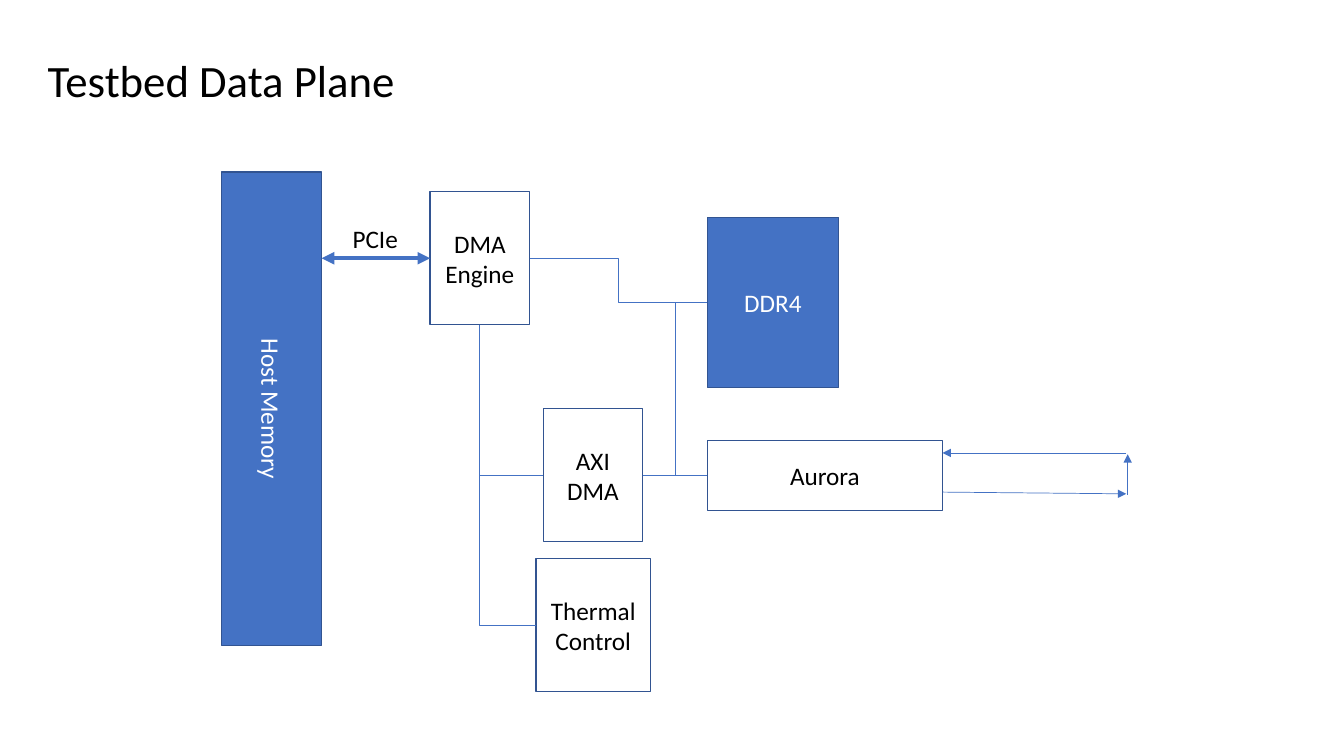
from dataclasses import dataclass
from typing import Any, NamedTuple, Optional

from lxml.etree import SubElement
from pptx import Presentation
from pptx.dml.color import RGBColor
from pptx.enum.shapes import MSO_CONNECTOR as Route, MSO_SHAPE as Preset
from pptx.enum.text import MSO_ANCHOR as Anchor, MSO_AUTO_SIZE as AutoSize, PP_ALIGN as Align
from pptx.oxml.ns import qn
from pptx.util import Pt


@dataclass(frozen=True)
class Theme:
    font: str = "Calibri"
    title_size: float = 32
    label_size: float = 18
    blue: RGBColor = RGBColor(0x44, 0x72, 0xC4)
    outline: RGBColor = RGBColor(0x32, 0x54, 0x91)
    black: RGBColor = RGBColor(0, 0, 0)
    white: RGBColor = RGBColor(0xFF, 0xFF, 0xFF)
    outline_width: float = 1
    bus_width: float = 3
    wire_width: float = 0.5


class Box(NamedTuple):
    left: float
    top: float
    width: float
    height: float


@dataclass(frozen=True)
class Block:
    label: str
    box: Box
    filled: bool = False
    vertical: bool = False


class Link(NamedTuple):
    source: str
    target: str
    from_bottom: bool = False


class Arrow(NamedTuple):
    x1: float
    y1: float
    x2: float
    y2: float
    width: float
    both_ends: bool = False


THEME = Theme()
BOTTOM_SITE, LEFT_SITE, RIGHT_SITE = 2, 1, 3

BLOCKS = [
    Block("Host Memory", Box(158.25, 123, 71.5, 338), filled=True, vertical=True),
    Block("DMA Engine", Box(307.25, 137, 71, 95), ),
    Block("AXI DMA", Box(388, 292, 71, 95)),
    Block("DDR4", Box(505.25, 155.25, 93.75, 121.5), filled=True),
    Block("Thermal Control", Box(383, 399, 81.5, 95)),
    Block("Aurora", Box(505.25, 314.5, 168, 50)),
]
LINKS = [
    Link("DMA Engine", "DDR4"),
    Link("AXI DMA", "DDR4"),
    Link("DMA Engine", "AXI DMA", from_bottom=True),
    Link("DMA Engine", "Thermal Control", from_bottom=True),
    Link("AXI DMA", "Aurora"),
]
ARROWS = [
    Arrow(229.75, 184.5, 307.25, 184.5, THEME.bus_width, both_ends=True),
    Arrow(673.25, 351.5, 804.5, 352.75, THEME.wire_width),
    Arrow(805.5, 353.5, 805.5, 324.5, THEME.wire_width),
    Arrow(804.5, 323.5, 673.25, 323.5, THEME.wire_width),
]


def apply_format(target: Any, formats: dict[str, Any]) -> None:
    for attribute, value in formats.items():
        setattr(target, attribute, value)


def write_text(frame: Any, text: str, size: float, color: RGBColor, align: Align,
               wrap: bool = True, auto_size: Optional[AutoSize] = None) -> None:
    apply_format(frame, {"text": text, "word_wrap": wrap, "auto_size": auto_size,
                         "vertical_anchor": Anchor.MIDDLE})
    paragraph = frame.paragraphs[0]
    paragraph.alignment = align
    font = paragraph.runs[0].font
    apply_format(font, {"name": THEME.font, "size": Pt(size)})
    font.color.rgb = color


def place(shape: Any, box: Box) -> None:
    apply_format(shape, {side: Pt(length) for side, length in box._asdict().items()})


def draw_block(slide: Any, block: Block) -> Any:
    shape = slide.shapes.add_shape(Preset.RECTANGLE, *map(Pt, block.box))
    shape.shadow.inherit = False
    if block.filled:
        shape.fill.solid()
        shape.fill.fore_color.rgb = THEME.blue
    else:
        shape.fill.background()
    shape.line.color.rgb = THEME.outline
    shape.line.width = Pt(THEME.outline_width)
    write_text(shape.text_frame, block.label, THEME.label_size,
               THEME.white if block.filled else THEME.black, Align.CENTER)
    if block.vertical:
        shape.text_frame._txBody.bodyPr.set("vert", "vert")
    return shape


def style_line(connector: Any, width: float) -> None:
    connector.line.color.rgb = THEME.blue
    connector.line.width = Pt(width)
    SubElement(connector._element.spPr, qn("a:effectLst"))


def turn_corner(connector: Any) -> None:
    left, top, width, height = (connector.left, connector.top,
                                connector.width, connector.height)
    apply_format(connector, {"left": left + (width - height) // 2,
                             "top": top + (height - width) // 2,
                             "width": height, "height": width})
    properties = connector._element.spPr
    frame = properties.find(qn("a:xfrm"))
    frame.set("rot", str(270 * 60000))
    frame.set("flipH", "1")
    properties.find(qn("a:prstGeom")).set("prst", "bentConnector2")


def draw_link(slide: Any, link: Link, shapes: dict[str, Any]) -> None:
    connector = slide.shapes.add_connector(Route.ELBOW, 0, 0, 0, 0)
    connector.begin_connect(shapes[link.source],
                            BOTTOM_SITE if link.from_bottom else RIGHT_SITE)
    connector.end_connect(shapes[link.target], LEFT_SITE)
    if link.from_bottom:
        turn_corner(connector)
    style_line(connector, THEME.wire_width)


def draw_arrow(slide: Any, arrow: Arrow) -> None:
    connector = slide.shapes.add_connector(Route.STRAIGHT, *map(Pt, arrow[:4]))
    style_line(connector, arrow.width)
    line = connector.line._get_or_add_ln()
    for end in ("a:headEnd", "a:tailEnd") if arrow.both_ends else ("a:tailEnd",):
        SubElement(line, qn(end), type="triangle")


def main() -> None:
    deck = Presentation()
    apply_format(deck, {"slide_width": Pt(960), "slide_height": Pt(540)})
    slide = deck.slides.add_slide(deck.slide_layouts.get_by_name("Title Only"))

    title = slide.shapes.title
    place(title, Box(26.75, 34, 265, 46))
    write_text(title.text_frame, "Testbed Data Plane", THEME.title_size, THEME.black,
               Align.LEFT, wrap=False, auto_size=AutoSize.NONE)

    shapes = {block.label: draw_block(slide, block) for block in BLOCKS}
    for link in LINKS:
        draw_link(slide, link, shapes)
    for arrow in ARROWS:
        draw_arrow(slide, arrow)

    bus_label = slide.shapes.add_textbox(*map(Pt, Box(244.75, 155.5, 47.5, 29)))
    write_text(bus_label.text_frame, "PCIe", THEME.label_size, THEME.black,
               Align.LEFT, wrap=False, auto_size=AutoSize.SHAPE_TO_FIT_TEXT)

    deck.save("out.pptx")


main()
